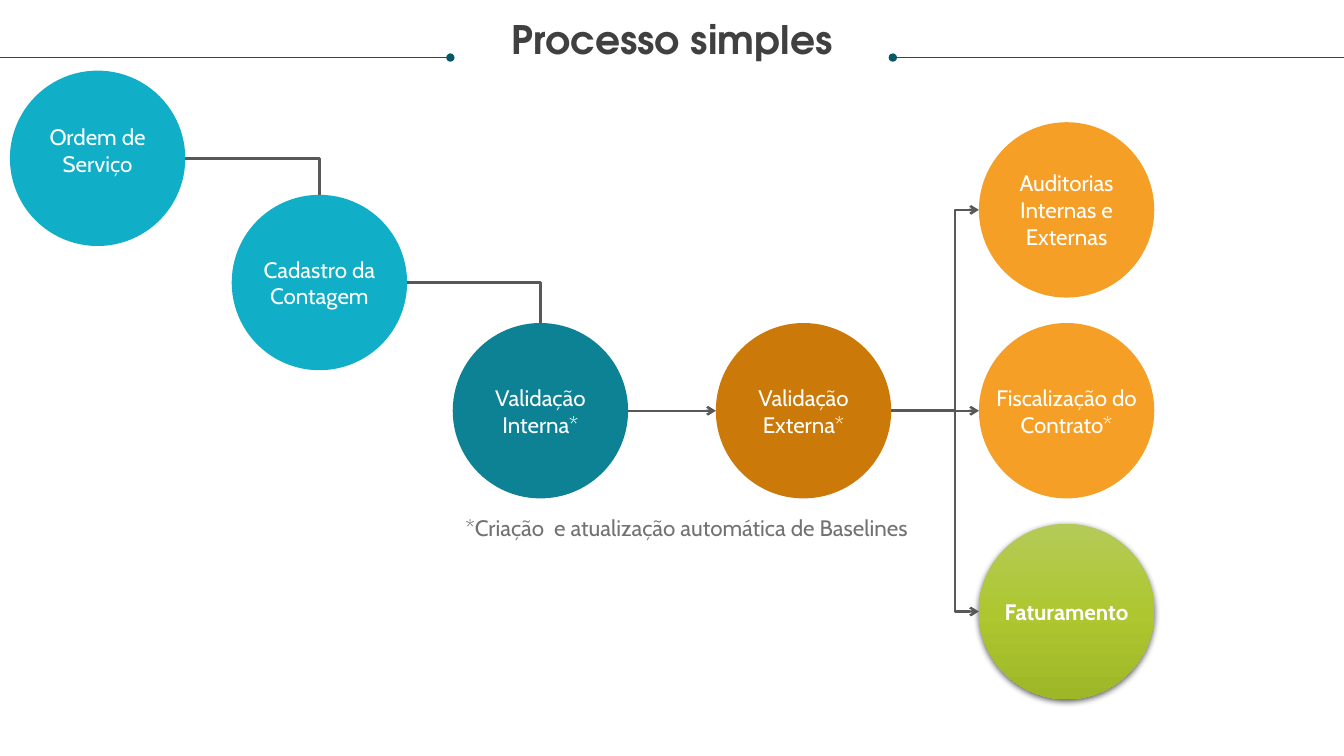
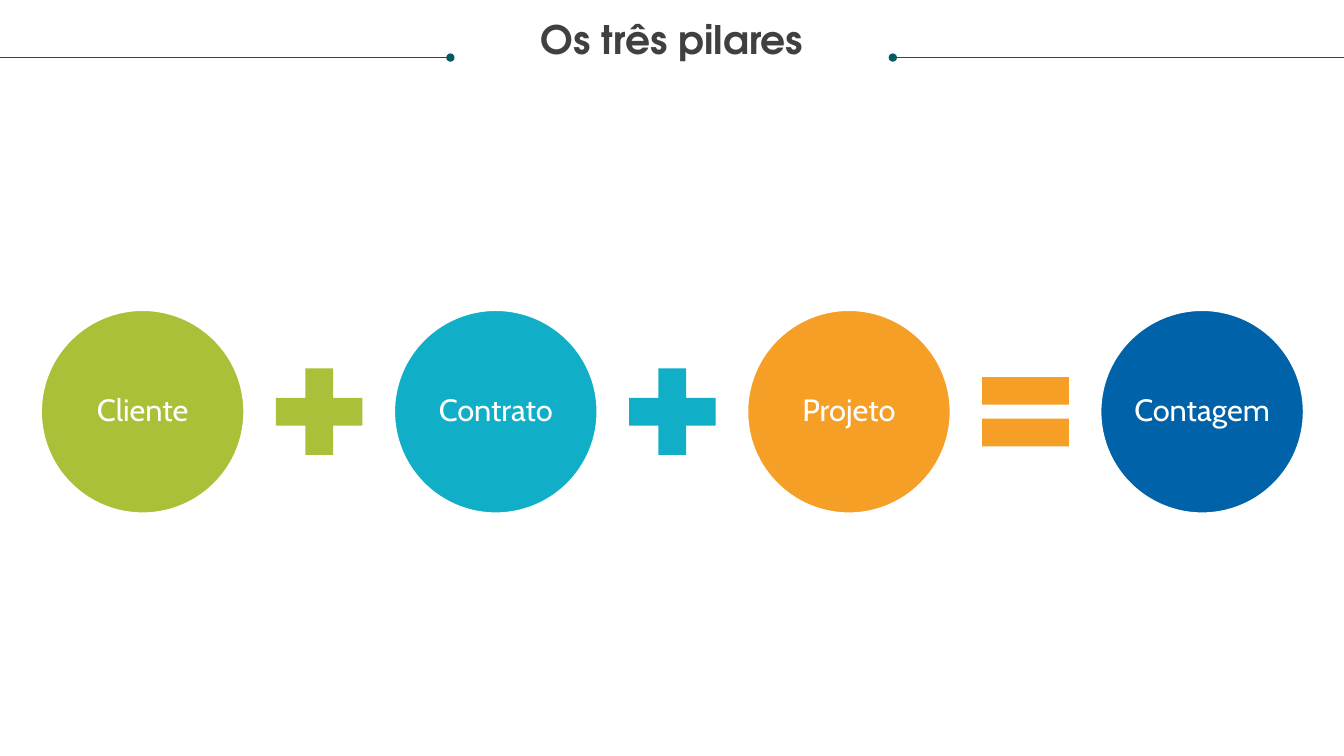
import copy

import lxml.etree
import pptx
import pptx.dml.color
import pptx.enum.shapes
import pptx.enum.text
import pptx.oxml.ns
import pptx.util

Cm = pptx.util.Cm
Pt = pptx.util.Pt
qn = pptx.oxml.ns.qn
SHAPES = pptx.enum.shapes.MSO_SHAPE
CONNECTORS = pptx.enum.shapes.MSO_CONNECTOR
ANCHOR = pptx.enum.text.MSO_ANCHOR

PAGE_WIDTH, PAGE_HEIGHT = 33.87, 19.05
TITLE_FONT, BODY_FONT = "TeX Gyre Adventor", "Cabin"
COLOURS = {
    "title": "404040", "rule": "085764", "link": "585858", "note": "727272",
    "white": "FFFFFF", "cyan": "11AEC7", "teal": "0D8295", "brown": "CB7A09",
    "orange": "F59F26", "green": "A9C038", "blue": "0062A9", "shadow": "000000",
    "green_top": "B4CA58", "green_middle": "AEC731", "green_bottom": "9EB726",
}
SITES = {"top": (0, 0.5, 0), "left": (2, 0, 0.5), "right": (6, 1, 0.5)}


def colour(name):
    """Return the named colour."""
    return pptx.dml.color.RGBColor.from_string(COLOURS[name])


def write(shape, text, size, tint, font=BODY_FONT, bold=False, inset=0, spacing=None,
          anchor=ANCHOR.MIDDLE):
    """Write one centred paragraph in a shape or text box."""
    frame = shape.text_frame
    frame.word_wrap = True
    frame.vertical_anchor = anchor
    frame.margin_left = frame.margin_right = Cm(inset)
    frame.margin_top = frame.margin_bottom = Cm(inset)
    para = frame.paragraphs[0]
    para.alignment = pptx.enum.text.PP_ALIGN.CENTER
    if spacing:
        para.line_spacing = spacing
    span = para.add_run()
    span.text = text
    span.font.name = font
    span.font.size = Pt(size)
    span.font.bold = bold
    span.font.color.rgb = colour(tint)


def add_label(page, left, top, width, height, *text, **style):
    """Add a text box."""
    box = page.shapes.add_textbox(Cm(left), Cm(top), Cm(width), Cm(height))
    write(box, *text, **style)


def add_solid(page, kind, left, top, size, fill, line=None):
    """Add a flat square-framed preset shape."""
    shape = page.shapes.add_shape(kind, Cm(left), Cm(top), Cm(size), Cm(size))
    shape.shadow.inherit = False
    shape.fill.solid()
    shape.fill.fore_color.rgb = colour(fill)
    if line:
        shape.line.color.rgb = colour(line)
        shape.line.width = Pt(1)
    else:
        shape.line.fill.background()
    return shape


def add_line(page, kind, begin, end, tint, width, tail=None):
    """Add a connector without shadow, with an optional end mark."""
    line = page.shapes.add_connector(kind, *begin, *end)
    line.line.color.rgb = colour(tint)
    line.line.width = Pt(width)
    properties = line.element.spPr
    if tail:
        lxml.etree.SubElement(properties.find(qn("a:ln")), qn("a:tailEnd"), type=tail)
    lxml.etree.SubElement(properties, qn("a:effectLst"))
    return line


def link(page, source, source_site, target, target_site, preset, bend=None, tail=None):
    """Join two circles with a connector attached to their sites."""
    ends = []
    for shape, site in ((source, source_site), (target, target_site)):
        index, across, down = SITES[site]
        point = (int(shape.left + across * shape.width), int(shape.top + down * shape.height))
        ends.append((shape, index, point))
    straight = preset == "straightConnector1"
    kind = CONNECTORS.STRAIGHT if straight else CONNECTORS.ELBOW
    line = add_line(page, kind, ends[0][2], ends[1][2], "link", 1.75, tail)
    joints = line.element.find(".//" + qn("p:cNvCxnSpPr"))
    for tag, (shape, index, point) in zip(("a:stCxn", "a:endCxn"), ends):
        lxml.etree.SubElement(joints, qn(tag), id=str(shape.shape_id), idx=str(index))
    geometry = line.element.spPr.find(qn("a:prstGeom"))
    geometry.set("prst", preset)
    if bend:
        lxml.etree.SubElement(geometry.find(qn("a:avLst")), qn("a:gd"),
                              name="adj1", fmla=f"val {bend * 1000}")


def add_glow(shape):
    """Give a shape the green gradient and a soft shadow."""
    shape.fill.gradient()
    shape.fill.gradient_angle = 270
    stops = shape.element.spPr.find(".//" + qn("a:gsLst"))
    stops.append(copy.deepcopy(stops[-1]))
    tints = ("green_top", "green_middle", "green_bottom")
    for number, (stop, tint) in enumerate(zip(shape.fill.gradient_stops, tints)):
        stop.position = number / 2
        stop.color.rgb = colour(tint)
    effects = shape.element.spPr.find(qn("a:effectLst"))
    shadow = lxml.etree.SubElement(
        effects, qn("a:outerShdw"), blurRad=str(Pt(4.5)), dist=str(Pt(1.5)),
        dir="5400000", rotWithShape="0")
    tint = lxml.etree.SubElement(shadow, qn("a:srgbClr"), val=COLOURS["shadow"])
    lxml.etree.SubElement(tint, qn("a:alpha"), val="63000")


def add_page(deck, title):
    """Add a blank page with its title between two dotted rules."""
    page = deck.slides.add_slide(deck.slide_layouts[6])
    height = Cm(1.45)
    for outer, inner in ((0, 11.35), (PAGE_WIDTH, 22.5)):
        add_line(page, CONNECTORS.STRAIGHT, (Cm(outer), height), (Cm(inner), height),
                 "rule", 0.5, "oval")
    add_label(page, 0.64, 0.53, PAGE_WIDTH - 1.28, 2.16, title, 28, "title",
              font=TITLE_FONT, bold=True, spacing=0.9, anchor=ANCHOR.TOP)
    return page


def draw_process(page, left, top):
    """Draw the process flow from its top left corner."""
    size, label_width, line_height = 4.42, 3.8, 0.68
    column, row, middle = 6.63, 5.06, 6.36
    inner = 11.16
    outer, last = inner + column, inner + 2 * column
    stages = {
        "order": (0, 0, "cyan", "Ordem de Serviço", 2),
        "count": (5.59, 3.13, "cyan", "Cadastro da Contagem", 2),
        "inner": (inner, middle, "teal", "Validação Interna*", 2),
        "outer": (outer, middle, "brown", "Validação Externa*", 2),
        "audit": (last, middle - row, "orange", "Auditorias Internas e Externas", 3),
        "contract": (last, middle, "orange", "Fiscalização do Contrato*", 2),
        "billing": (last, middle + row, "green", "Faturamento", 1),
    }
    circles = {}
    for name, (x, y, fill, text, lines) in stages.items():
        circles[name] = add_solid(page, SHAPES.OVAL, left + x, top + y, size, fill)
        height = lines * line_height
        lift = 0.2 if name == "order" else 0
        add_label(page, left + x + (size - label_width) / 2,
                  top + y + (size - height) / 2 - lift, label_width, height,
                  text, 16, "white", bold=name == "billing")
    add_glow(circles["billing"])
    for source, target in (("order", "count"), ("count", "inner")):
        link(page, circles[source], "right", circles[target], "top", "bentConnector2")
    for source, target in (("inner", "outer"), ("outer", "contract")):
        link(page, circles[source], "right", circles[target], "left",
             "straightConnector1", tail="arrow")
    for target in ("audit", "billing"):
        link(page, circles["outer"], "right", circles[target], "left",
             "bentConnector3", bend=73, tail="arrow")
    add_label(page, left + inner, top + 11.18, 11.79, line_height,
              "*Criação  e atualização automática de Baselines", 16, "note")


def draw_equation(page, left, top):
    """Draw the row of pillars and signs from its top left corner."""
    size, sign_size, step = 5.11, 2.97, 8.9
    pillars = (
        ("Cliente", "green", SHAPES.MATH_PLUS),
        ("Contrato", "cyan", SHAPES.MATH_PLUS),
        ("Projeto", "orange", SHAPES.MATH_EQUAL),
        ("Contagem", "blue", None),
    )
    for number, (text, fill, sign) in enumerate(pillars):
        x = left + number * step
        circle = add_solid(page, SHAPES.OVAL, x, top, size, fill, "white")
        write(circle, text, 22, "white", inset=0.08, spacing=0.9)
        if sign:
            add_solid(page, sign, x + (size + step - sign_size) / 2,
                      top + (size - sign_size) / 2, sign_size, fill)


def main():
    """Build and save the deck."""
    deck = pptx.Presentation()
    deck.slide_width, deck.slide_height = Cm(PAGE_WIDTH), Cm(PAGE_HEIGHT)
    draw_process(add_page(deck, "Processo simples"), 0.25, 1.78)
    draw_equation(add_page(deck, "Os três pilares"), 1.04, 7.82)
    deck.save("out.pptx")


if __name__ == "__main__":
    main()
